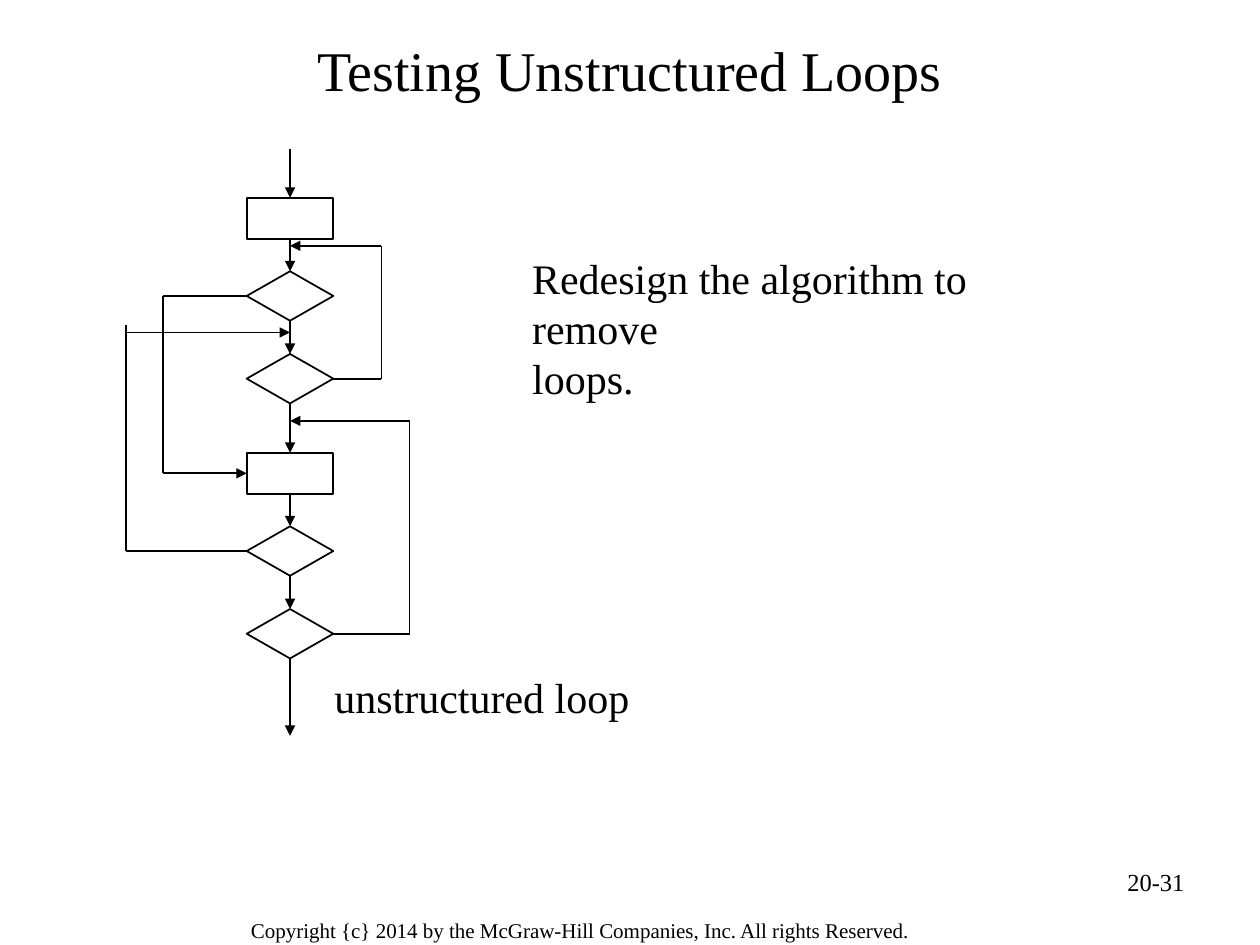
from lxml import etree
from pptx import Presentation
from pptx.dml.color import RGBColor
from pptx.enum.shapes import MSO_CONNECTOR, MSO_SHAPE
from pptx.enum.text import MSO_ANCHOR, PP_ALIGN
from pptx.oxml.ns import qn
from pptx.util import Pt

BLACK = RGBColor(0, 0, 0)
FONT = "Times New Roman"
RECT, DIAMOND = MSO_SHAPE.RECTANGLE, MSO_SHAPE.DIAMOND
LINE = MSO_CONNECTOR.STRAIGHT
LEFT, CENTER, RIGHT = PP_ALIGN.LEFT, PP_ALIGN.CENTER, PP_ALIGN.RIGHT
TOP, MIDDLE = MSO_ANCHOR.TOP, MSO_ANCHOR.MIDDLE
NORTH, WEST, SOUTH, EAST = range(4)


class Sketch:
    def __init__(self, slide):
        self.shapes = slide.shapes

    def text(self, box, lines, size, align=LEFT, anchor=TOP, wrap=True, pad=(7.2, 3.6)):
        frame = self.shapes.add_textbox(*map(Pt, box)).text_frame
        frame.word_wrap = wrap
        frame.vertical_anchor = anchor
        frame.margin_left = frame.margin_right = Pt(pad[0])
        frame.margin_top = frame.margin_bottom = Pt(pad[1])
        for i, line in enumerate(lines):
            para = frame.add_paragraph() if i else frame.paragraphs[0]
            para.alignment = align
            run = para.add_run()
            run.text = line
            run.font.name = FONT
            run.font.size = Pt(size)
            run.font.color.rgb = BLACK

    def node(self, kind, left, top, width, height):
        shape = self.shapes.add_shape(kind, *map(Pt, (left, top, width, height)))
        shape.shadow.inherit = False
        shape.fill.background()
        shape.line.color.rgb = BLACK
        shape.line.width = Pt(1)
        return shape

    def line(self, start, end, arrow=False):
        link = self.shapes.add_connector(LINE, *map(Pt, (*start, *end)))
        link.line.color.rgb = BLACK
        link.line.width = Pt(1)
        if arrow:
            tip = etree.SubElement(link.line._get_or_add_ln(), qn("a:tailEnd"))
            tip.set("type", "triangle")
        etree.SubElement(link._element.spPr, qn("a:effectLst"))
        return link

    def route(self, points, arrow=True):
        last = len(points) - 2
        return [self.line(a, b, arrow and i == last)
                for i, (a, b) in enumerate(zip(points, points[1:]))]


def flow(art):
    left, width, mid = 141, 49.5, 165.75
    nodes, sides = [], []
    for base in (113, 258.75):
        for kind, drop, height in ((RECT, 0, 23.5), (DIAMOND, 42, 28.25), (DIAMOND, 89.25, 28.25)):
            top = base + drop
            nodes.append(art.node(kind, left, top, width, height))
            sides.append(((mid, top), (left, top + height / 2),
                          (mid, top + height), (left + width, top + height / 2)))

    art.line((mid, 85), sides[0][NORTH], True).end_connect(nodes[0], NORTH)
    for i in range(len(nodes) - 1):
        link = art.line(sides[i][SOUTH], sides[i + 1][NORTH], True)
        link.begin_connect(nodes[i], SOUTH)
        link.end_connect(nodes[i + 1], NORTH)
    art.line(sides[-1][SOUTH], (mid, 420.5), True).begin_connect(nodes[-1], SOUTH)

    for i, far, level in ((2, 218, 140.5), (5, 234, 240.5)):
        start = sides[i][EAST]
        path = art.route([start, (far, start[1]), (far, level), (mid, level)])
        path[0].begin_connect(nodes[i], EAST)

    start, end = sides[1][WEST], sides[3][WEST]
    path = art.route([start, (93, start[1]), (93, end[1]), end])
    path[0].begin_connect(nodes[1], WEST)
    path[-1].end_connect(nodes[3], WEST)

    start = sides[4][WEST]
    path = art.route([start, (72, start[1]), (72, 186)], False)
    path[0].begin_connect(nodes[4], WEST)
    art.line((72, 190), (mid, 190), True)


def main():
    deck = Presentation()
    deck.slide_width, deck.slide_height = Pt(720), Pt(540)
    art = Sketch(deck.slides.add_slide(deck.slide_layouts[6]))
    art.text((135.5, 520, 445.5, 22),
             ["Copyright {c} 2014 by the McGraw-Hill Companies, Inc. All rights Reserved."],
             12, pad=(7.9, 4.3))
    art.text((516, 492, 168, 37.5), ["20-31"], 14, RIGHT)
    art.text((36, 13, 648, 52.5), ["Testing Unstructured Loops"], 32, CENTER, MIDDLE)
    flow(art)
    art.text((184, 380, 183, 36), ["unstructured loop"], 24, wrap=False)
    art.text((297, 140.5, 340.5, 65), ["Redesign the algorithm to remove", "loops."], 24, wrap=False)
    deck.save("out.pptx")


if __name__ == "__main__":
    main()
